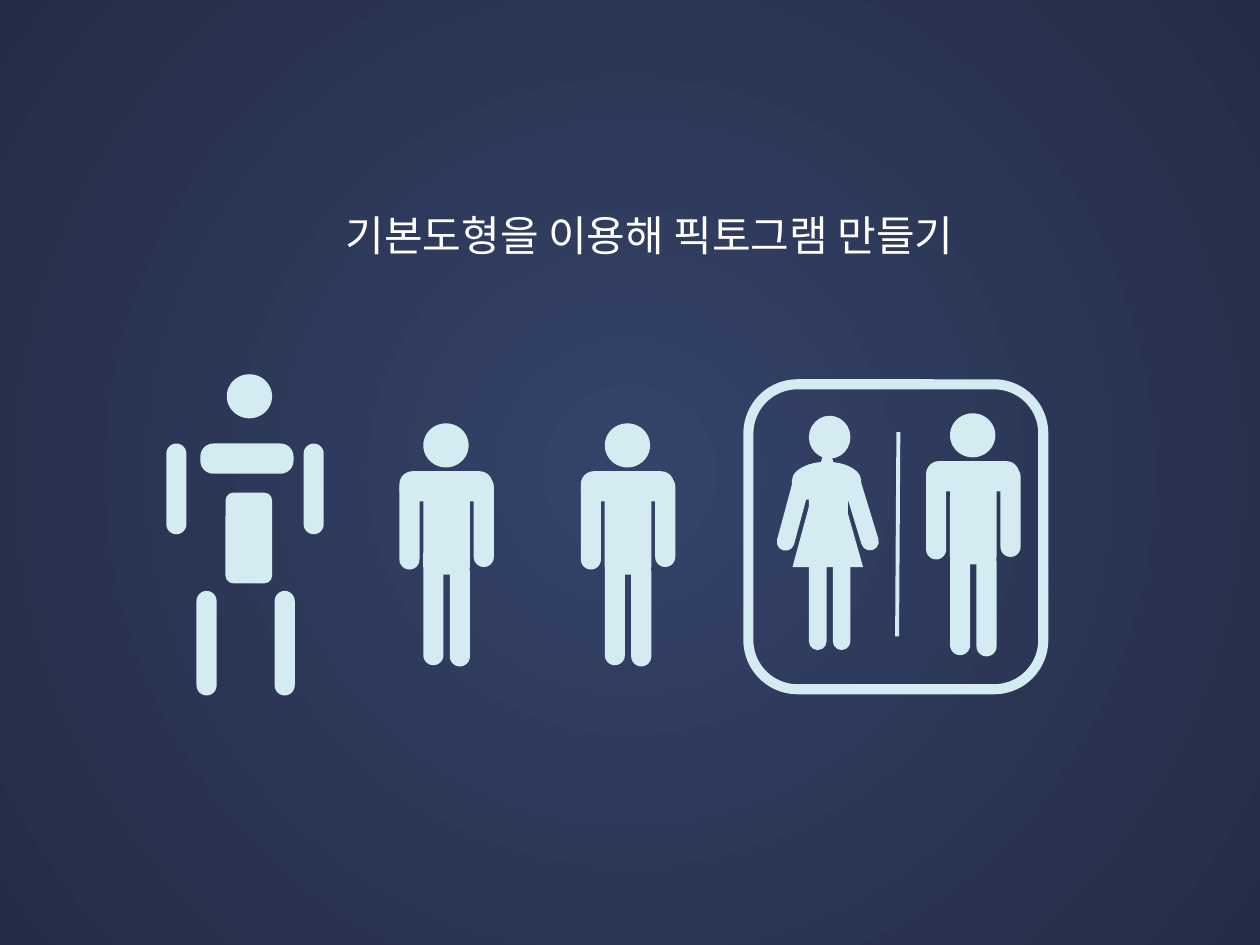
from dataclasses import dataclass
from typing import Any, Optional

from lxml import etree
from pptx import Presentation, oxml, util as u
from pptx.dml.color import RGBColor
from pptx.enum import shapes, text
from pptx.oxml.ns import qn

PALE = "D4EBF1"
FONT = "Noto Sans CJK KR"
KIND = shapes.MSO_SHAPE


@dataclass
class Limb:
    kind: Any
    w: float
    h: float
    adj: Optional[float] = None


@dataclass
class Placed:
    limb: Limb
    x: float
    y: float
    rot: float = 0


@dataclass
class Man:
    x: float
    y: float
    pose: list
    grouped: bool = False


ARM = Limb(KIND.ROUNDED_RECTANGLE, 0.16, 0.72, 0.5)
LEG = Limb(KIND.ROUNDED_RECTANGLE, 0.16, 0.83, 0.5)
BODY = [
    Limb(KIND.OVAL, 0.36, 0.35),
    Limb(KIND.ROUNDED_RECTANGLE, 0.74, 0.24, 0.43),
    Limb(KIND.ROUNDED_RECTANGLE, 0.37, 0.72),
    ARM, ARM, LEG, LEG,
]
APART = [(0.48, 0), (0.27, 0.55), (0.47, 0.94), (1.09, 0.55), (0, 0.55), (0.24, 1.72), (0.86, 1.72)]
JOINED = [(0.19, 0), (0, 0.38), (0.19, 0.48), (0.59, 0.42), (0, 0.44), (0.19, 1.09), (0.4, 1.1)]
MEN = [Man(1.32, 2.97, APART), Man(3.17, 3.36, JOINED), Man(4.61, 3.36, JOINED, True)]

WOMAN_LEG = Limb(KIND.ROUNDED_RECTANGLE, 0.14, 0.8, 0.5)
WOMAN = [
    Placed(Limb(KIND.OVAL, 0.33, 0.34), 6.42, 3.3),
    Placed(Limb(KIND.ROUNDED_RECTANGLE, 0.31, 0.69), 6.42, 3.75),
    Placed(Limb(KIND.ROUNDED_RECTANGLE, 0.14, 0.65, 0.5), 6.76, 3.73, 343),
    Placed(Limb(KIND.ROUNDED_RECTANGLE, 0.14, 0.64, 0.5), 6.23, 3.74, 15.1),
    Placed(WOMAN_LEG, 6.42, 4.36),
    Placed(WOMAN_LEG, 6.61, 4.36),
    Placed(Limb(KIND.FLOWCHART_DELAY, 0.3, 0.55), 6.41, 3.54, 270),
    Placed(Limb(KIND.ISOSCELES_TRIANGLE, 0.56, 1.01, 0.49), 6.29, 3.49),
]
FRAME = Placed(Limb(KIND.ROUNDED_RECTANGLE, 2.34, 2.42), 5.94, 3.05)


def color(value: str) -> RGBColor:
    return RGBColor.from_string(value)


def add_limb(parent: Any, placed: Placed, line_width: float = 0) -> None:
    limb = placed.limb
    sp = parent.add_shape(limb.kind, *map(u.Inches, (placed.x, placed.y, limb.w, limb.h)))
    sp.shadow.inherit = False
    sp.rotation = placed.rot
    if limb.adj is not None:
        sp.adjustments[0] = limb.adj
    if line_width:
        sp.fill.background()
        sp.line.color.rgb = color(PALE)
        sp.line.width = u.Pt(line_width)
    else:
        sp.fill.solid()
        sp.fill.fore_color.rgb = color(PALE)
        sp.line.fill.background()


def add_man(parent: Any, man: Man) -> None:
    for limb, (dx, dy) in zip(BODY, man.pose):
        add_limb(parent, Placed(limb, man.x + dx, man.y + dy))


def add_sign(s: Any) -> None:
    sign = s.shapes.add_group_shape().shapes
    for placed in WOMAN:
        add_limb(sign, placed)
    add_man(sign, Man(7.35, 3.28, JOINED))
    add_limb(sign, FRAME, 5.75)
    divider = sign.add_connector(shapes.MSO_CONNECTOR.STRAIGHT, *map(u.Inches, (7.13, 3.43, 7.12, 5.05)))
    divider.line.color.rgb = color(PALE)
    divider.line.width = u.Pt(2.25)
    etree.SubElement(divider._element.spPr, qn("a:effectLst"))


def set_background(s: Any, center: str, edge: str) -> None:
    s.background.fill.solid()
    bg = s._element.find(".//" + qn("p:bgPr"))
    bg.replace(bg[0], oxml.parse_xml(
        '<a:gradFill xmlns:a="http://schemas.openxmlformats.org/drawingml/2006/main" rotWithShape="1"><a:gsLst>'
        f'<a:gs pos="0"><a:srgbClr val="{center}"/></a:gs>'
        f'<a:gs pos="100000"><a:srgbClr val="{edge}"/></a:gs></a:gsLst>'
        '<a:path path="circle"><a:fillToRect l="50000" t="50000" r="50000" b="50000"/></a:path></a:gradFill>'))


def set_title(s: Any, words: str) -> None:
    sp = s.shapes.title
    box = {"left": 2.11, "top": 1.41, "width": 6.09, "height": 0.71}
    for name, value in box.items():
        setattr(sp, name, u.Inches(value))
    tf = sp.text_frame
    frame_format = {"word_wrap": True, "vertical_anchor": text.MSO_ANCHOR.TOP,
                    "auto_size": text.MSO_AUTO_SIZE.SHAPE_TO_FIT_TEXT}
    for name, value in frame_format.items():
        setattr(tf, name, value)
    p = tf.paragraphs[0]
    for name, value in {"alignment": text.PP_ALIGN.CENTER, "line_spacing": 1.5}.items():
        setattr(p, name, value)
    r = p.add_run()
    r.text = words
    for name, value in {"size": u.Pt(24), "name": FONT}.items():
        setattr(r.font, name, value)
    r.font.color.rgb = color("FFFFFF")
    etree.SubElement(r.font._element, qn("a:ea")).set("typeface", FONT)


def main() -> None:
    prs = Presentation()
    prs.slide_width, prs.slide_height = u.Inches(10), u.Inches(7.5)
    s = prs.slides.add_slide(prs.slide_layouts[5])
    set_background(s, "35436A", "242D46")
    set_title(s, "기본도형을 이용해 픽토그램 만들기")
    add_sign(s)
    for man in MEN:
        parent = s.shapes.add_group_shape().shapes if man.grouped else s.shapes
        add_man(parent, man)
    prs.save("out.pptx")


if __name__ == "__main__":
    main()
